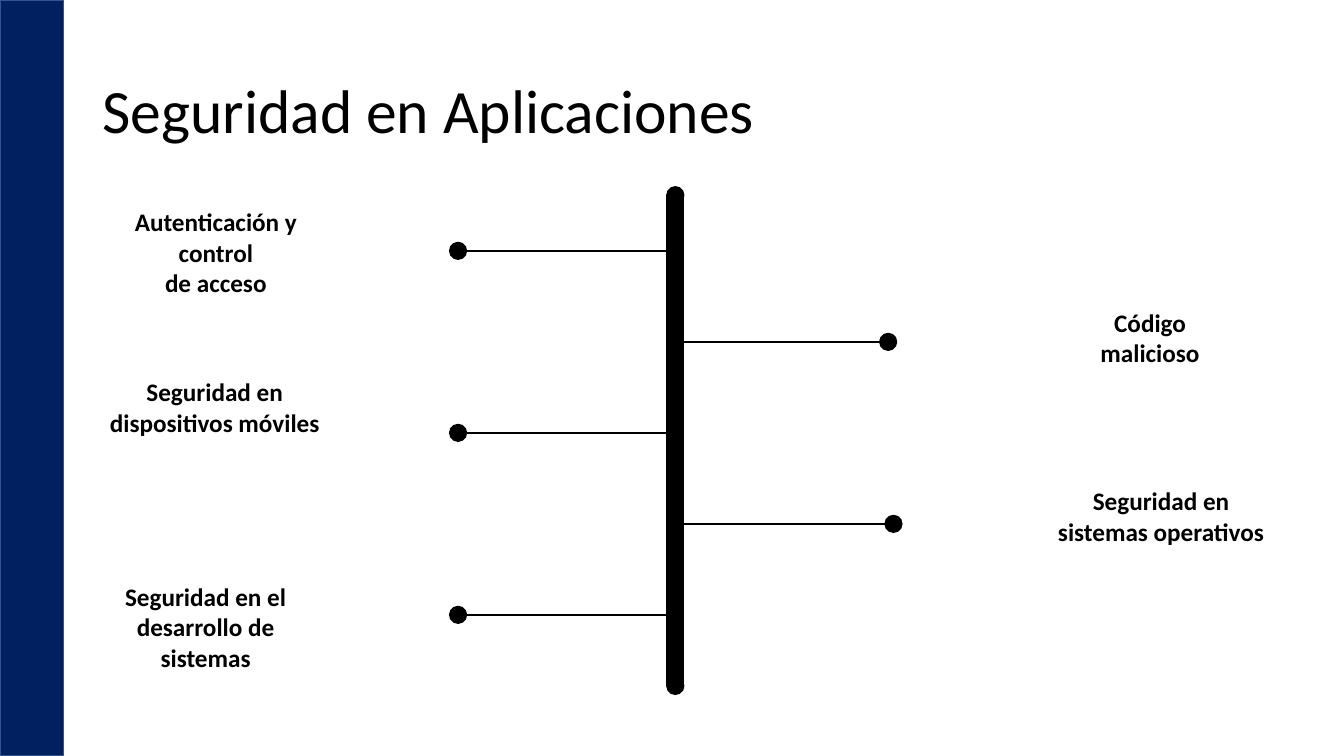
from dataclasses import dataclass

from lxml.etree import SubElement
from pptx import Presentation
from pptx.dml.color import RGBColor
from pptx.enum.shapes import MSO_CONNECTOR as Connector, MSO_SHAPE as Shape
from pptx.enum.text import MSO_ANCHOR as Anchor, MSO_AUTO_SIZE as AutoSize, PP_ALIGN as Align
from pptx.oxml.ns import qn
from pptx.util import Pt


@dataclass(frozen=True)
class Theme:
    ink: RGBColor = RGBColor(0x00, 0x00, 0x00)
    band: RGBColor = RGBColor(0x00, 0x20, 0x60)
    band_edge: RGBColor = RGBColor(0x32, 0x54, 0x91)
    font: str = "Calibri"
    title_size: int = 44
    label_size: int = 18


theme = Theme()


def add_solid(kind, left, top, width, height, fill, edge):
    solid = slide.shapes.add_shape(kind, Pt(left), Pt(top), Pt(width), Pt(height))
    solid.shadow.inherit = False
    solid.fill.solid()
    solid.fill.fore_color.rgb = fill
    solid.line.color.rgb = edge
    solid.line.width = Pt(1)


def style_text(paragraph, size, bold, alignment):
    paragraph.alignment = alignment
    paragraph.font.name = theme.font
    paragraph.font.size = Pt(size)
    paragraph.font.bold = bold
    paragraph.font.color.rgb = theme.ink


presentation = Presentation()
presentation.slide_width, presentation.slide_height = Pt(960), Pt(540)
slide = presentation.slides.add_slide(presentation.slide_layouts[5])

title = slide.shapes.title
title.left, title.top, title.width, title.height = Pt(66), Pt(28.75), Pt(828), Pt(104.4)
title.text_frame.text = "Seguridad en Aplicaciones"
title.text_frame.vertical_anchor = Anchor.MIDDLE
title.text_frame.paragraphs[0].line_spacing = 0.9
style_text(title.text_frame.paragraphs[0], theme.title_size, False, Align.LEFT)

add_solid(Shape.RECTANGLE, 0, 0, 45.4, 540, theme.band, theme.band_edge)

# Central spine with rounded ends
dot = 12
spine_left, spine_top, spine_height = 476.4, 139.4, 350.6
spine_right = spine_left + dot
add_solid(Shape.RECTANGLE, spine_left, spine_top, dot, spine_height, theme.ink, theme.ink)
for end in (spine_top, spine_top + spine_height):
    add_solid(Shape.OVAL, spine_left, end - dot / 2, dot, dot, theme.ink, theme.ink)

# Branches alternate left and right: spine edge, near edge of the end dot
branch_top, branch_gap = 179.2, 65
left_branch = (spine_left, 333.2)
branches = [left_branch, (485.3, 628.4), left_branch, (spine_right, 632.2), left_branch]
for row, (start, tip) in enumerate(branches):
    y = branch_top + row * branch_gap
    dot_left = tip - dot if tip < start else tip
    add_solid(Shape.OVAL, dot_left, y - dot / 2, dot, dot, theme.ink, theme.ink)
    branch = slide.shapes.add_connector(Connector.STRAIGHT, Pt(start), Pt(y), Pt(tip), Pt(y))
    branch.line.color.rgb = theme.ink
    branch.line.width = Pt(1.5)
    SubElement(branch._element.spPr, qn("a:effectLst"))

# Topic, left, top, height
topics = [
    ("Autenticación y control\nde acceso", 64.2, 144, 72.7),
    ("Código\nmalicioso", 731.5, 216, 51),
    ("Seguridad en dispositivos móviles", 63.4, 265.5, 72.7),
    ("Seguridad en sistemas operativos", 739.4, 343.4, 72.7),
    ("Seguridad en el desarrollo de sistemas", 56.9, 411.8, 72.7),
]
for topic, left, top, height in topics:
    label = slide.shapes.add_textbox(Pt(left), Pt(top), Pt(180), Pt(height)).text_frame
    label.word_wrap = True
    label.auto_size = AutoSize.SHAPE_TO_FIT_TEXT
    label.text = topic
    for paragraph in label.paragraphs:
        style_text(paragraph, theme.label_size, True, Align.CENTER)

presentation.save("out.pptx")
